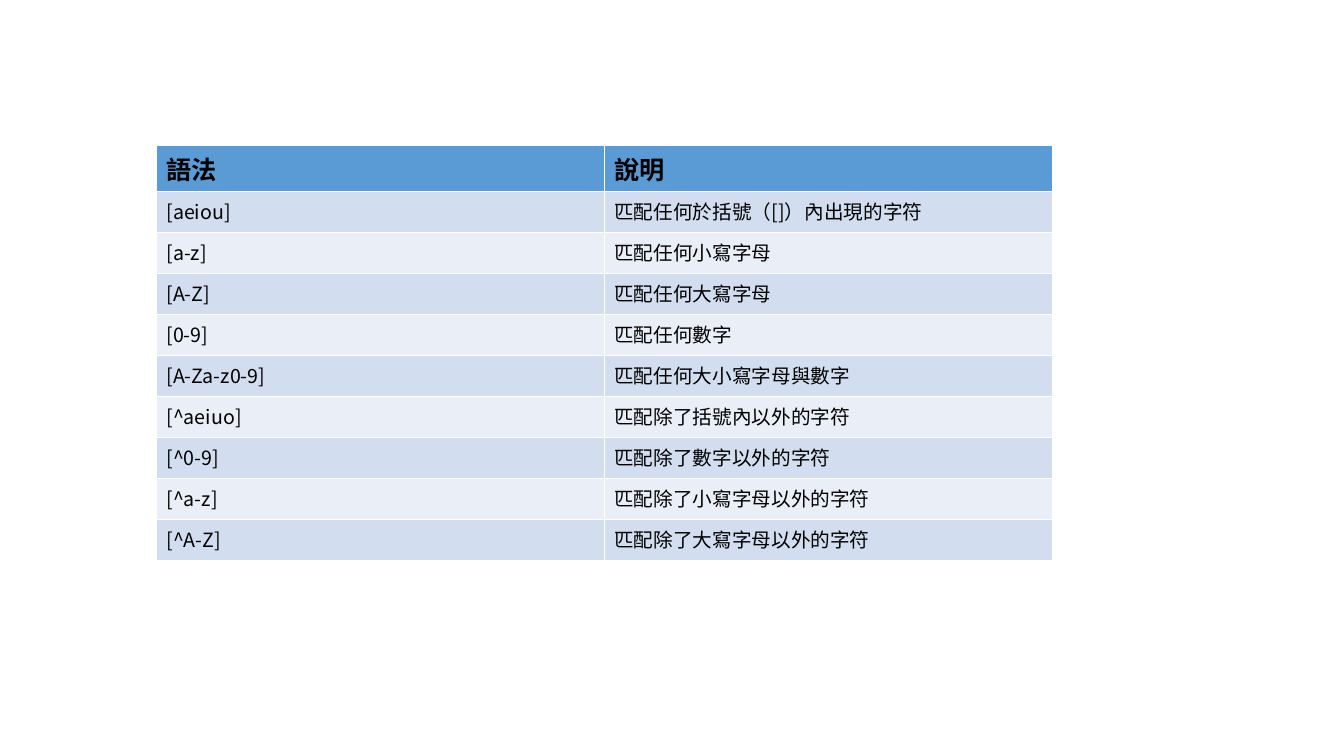
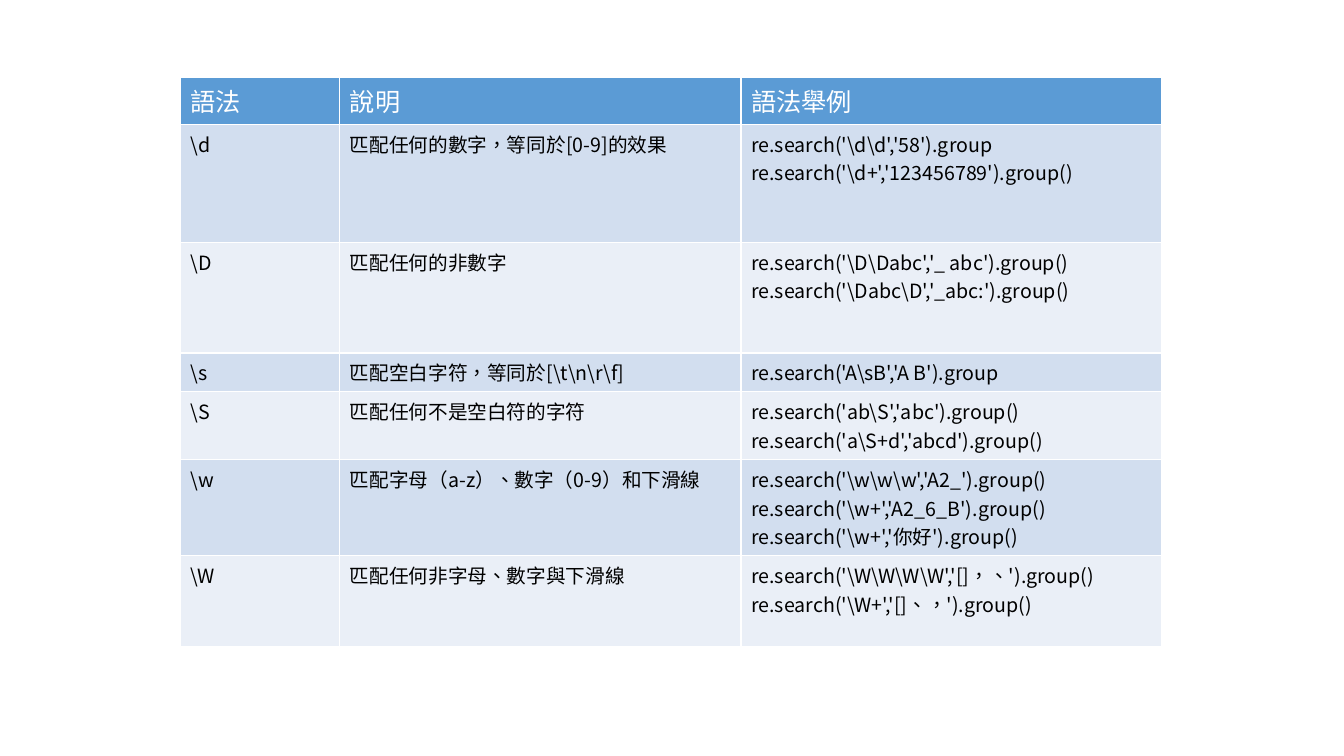
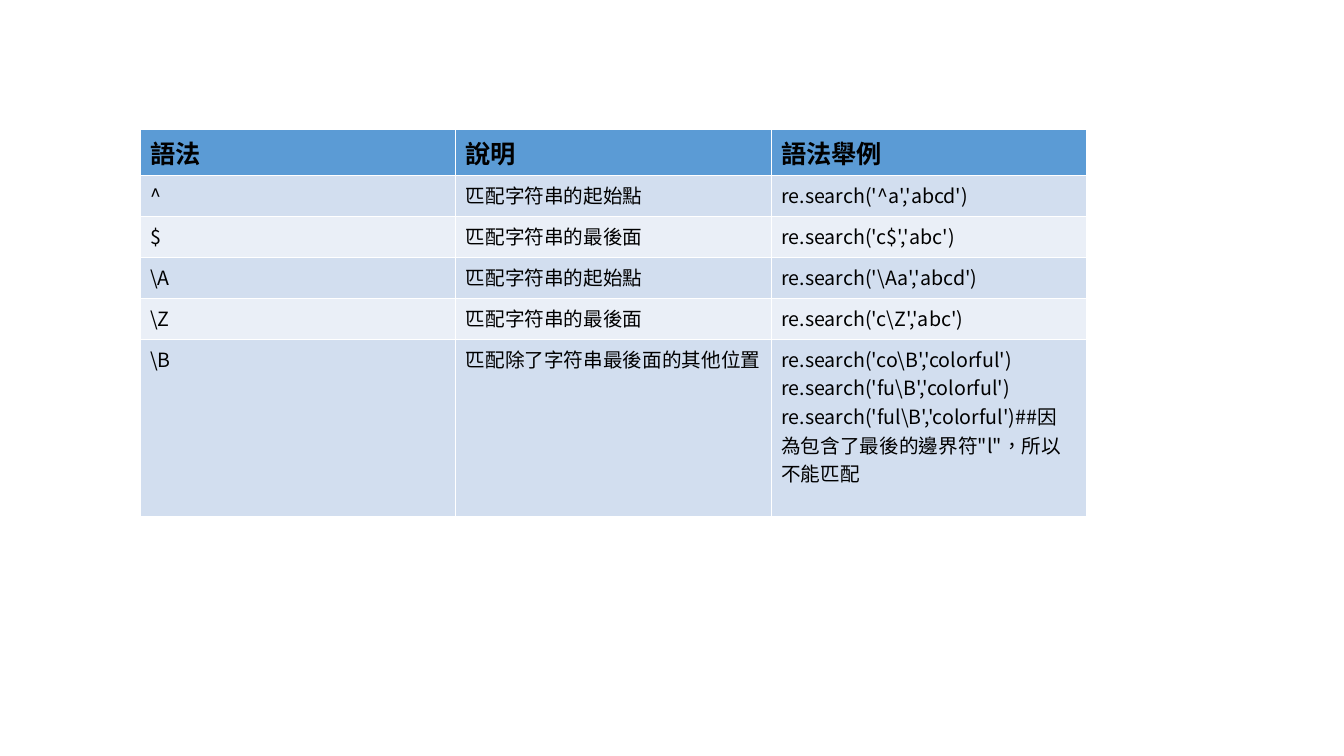
from lxml import etree
from pptx import Presentation
from pptx.dml.color import RGBColor
from pptx.oxml.ns import qn
from pptx.util import Inches, Pt

HEADER_BLUE = RGBColor(0x5B, 0x9B, 0xD5)
BAND_DARK = RGBColor(0xD2, 0xDE, 0xEF)
BAND_LIGHT = RGBColor(0xEA, 0xEF, 0xF7)
BLACK = RGBColor(0, 0, 0)
WHITE = RGBColor(0xFF, 0xFF, 0xFF)
TYPEFACE = "Noto Sans CJK SC"
LANGUAGE = "zh-TW"
BLANK_LAYOUT = 6
HEADER_ROWS = 6
LINE_ROWS = 5.42

deck = Presentation()
deck.slide_width = Inches(13.33)
deck.slide_height = Inches(7.5)
GRID_COLUMN = deck.slide_width / 100
GRID_ROW = deck.slide_height / 100


def write_cell(cell, lines, fill, size, color, bold):
    cell.fill.solid()
    cell.fill.fore_color.rgb = fill
    frame = cell.text_frame
    for number, line in enumerate(lines):
        paragraph = frame.add_paragraph() if number else frame.paragraphs[0]
        run = paragraph.add_run()
        run.text = line
        for attribute, value in {"name": TYPEFACE, "size": Pt(size), "bold": bold}.items():
            setattr(run.font, attribute, value)
        run.font.color.rgb = color
        properties = run._r.get_or_add_rPr()
        properties.set("lang", LANGUAGE)
        etree.SubElement(properties, qn("a:ea")).set("typeface", TYPEFACE)


character_sets = [
    ("[aeiou]", "匹配任何於括號（[]）內出現的字符"),
    ("[a-z]", "匹配任何小寫字母"),
    ("[A-Z]", "匹配任何大寫字母"),
    ("[0-9]", "匹配任何數字"),
    ("[A-Za-z0-9]", "匹配任何大小寫字母與數字"),
    ("[^aeiuo]", "匹配除了括號內以外的字符"),
    ("[^0-9]", "匹配除了數字以外的字符"),
    ("[^a-z]", "匹配除了小寫字母以外的字符"),
    ("[^A-Z]", "匹配除了大寫字母以外的字符"),
]

character_classes = [
    (r"\d", "匹配任何的數字，等同於[0-9]的效果",
     r"re.search('\d\d','58').group",
     r"re.search('\d+','123456789').group()"),
    (r"\D", "匹配任何的非數字",
     r"re.search('\D\Dabc','_ abc').group()",
     r"re.search('\Dabc\D','_abc:').group()"),
    (r"\s", r"匹配空白字符，等同於[\t\n\r\f]",
     r"re.search('A\sB','A B').group"),
    (r"\S", "匹配任何不是空白符的字符",
     r"re.search('ab\S','abc').group()",
     r"re.search('a\S+d','abcd').group()"),
    (r"\w", "匹配字母（a-z）、數字（0-9）和下滑線",
     r"re.search('\w\w\w','A2_').group()",
     r"re.search('\w+','A2_6_B').group()",
     r"re.search('\w+','你好').group()"),
    (r"\W", "匹配任何非字母、數字與下滑線",
     r"re.search('\W\W\W\W','[]，、').group()",
     r"re.search('\W+','[]、，').group()"),
]

anchors = [
    ("^", "匹配字符串的起始點", "re.search('^a','abcd')"),
    ("$", "匹配字符串的最後面", "re.search('c$','abc')"),
    (r"\A", "匹配字符串的起始點", r"re.search('\Aa','abcd')"),
    (r"\Z", "匹配字符串的最後面", r"re.search('c\Z','abc')"),
    (r"\B", "匹配除了字符串最後面的其他位置",
     r"re.search('co\B','colorful')",
     r"re.search('fu\B','colorful')",
     r"""re.search('ful\B','colorful')##因為包含了最後的邊界符"l"，所以不能匹配"""),
]

topics = [
    {"entries": character_sets, "left": 11.63, "top": 19.2,
     "widths": [33.33] * 2, "heights": [LINE_ROWS] * 9,
     "header_color": BLACK, "header_bold": True},
    {"entries": character_classes, "left": 13.43, "top": 10.27,
     "widths": [11.85, 29.86, 31.28], "heights": [15.6, 14.67, 5.1, 9, 12.65, 12],
     "header_color": WHITE, "header_bold": False},
    {"entries": anchors, "left": 10.43, "top": 17.07,
     "widths": [23.48] * 3, "heights": [LINE_ROWS] * 4 + [23.4],
     "header_color": BLACK, "header_bold": True},
]

for topic in topics:
    slide = deck.slides.add_slide(deck.slide_layouts[BLANK_LAYOUT])
    widths = topic["widths"]
    heights = [HEADER_ROWS] + topic["heights"]
    syntax_table = slide.shapes.add_table(
        len(heights), len(widths),
        round(topic["left"] * GRID_COLUMN), round(topic["top"] * GRID_ROW),
        round(sum(widths) * GRID_COLUMN), round(sum(heights) * GRID_ROW)).table
    for column, width in zip(syntax_table.columns, widths):
        column.width = round(width * GRID_COLUMN)
    for row, height in zip(syntax_table.rows, heights):
        row.height = round(height * GRID_ROW)

    headings = ["語法", "說明", "語法舉例"][:len(widths)]
    for column_number, heading in enumerate(headings):
        write_cell(syntax_table.cell(0, column_number), [heading], HEADER_BLUE, 18,
                   topic["header_color"], topic["header_bold"])
    for row_number, (syntax, meaning, *examples) in enumerate(topic["entries"], 1):
        band = BAND_DARK if row_number % 2 else BAND_LIGHT
        contents = [[syntax], [meaning], examples][:len(widths)]
        for column_number, lines in enumerate(contents):
            write_cell(syntax_table.cell(row_number, column_number), lines, band, 14, BLACK, False)

deck.save("out.pptx")
